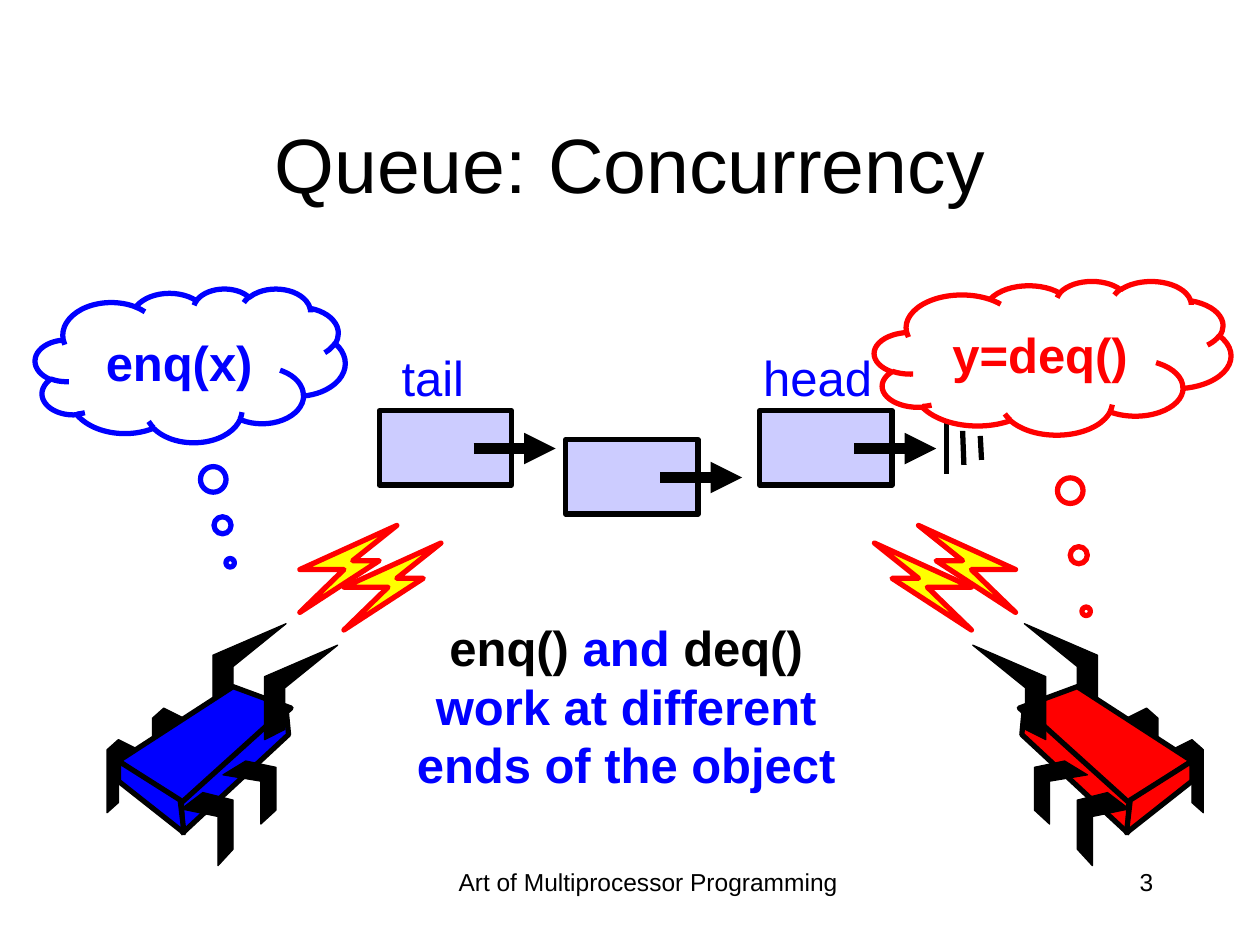
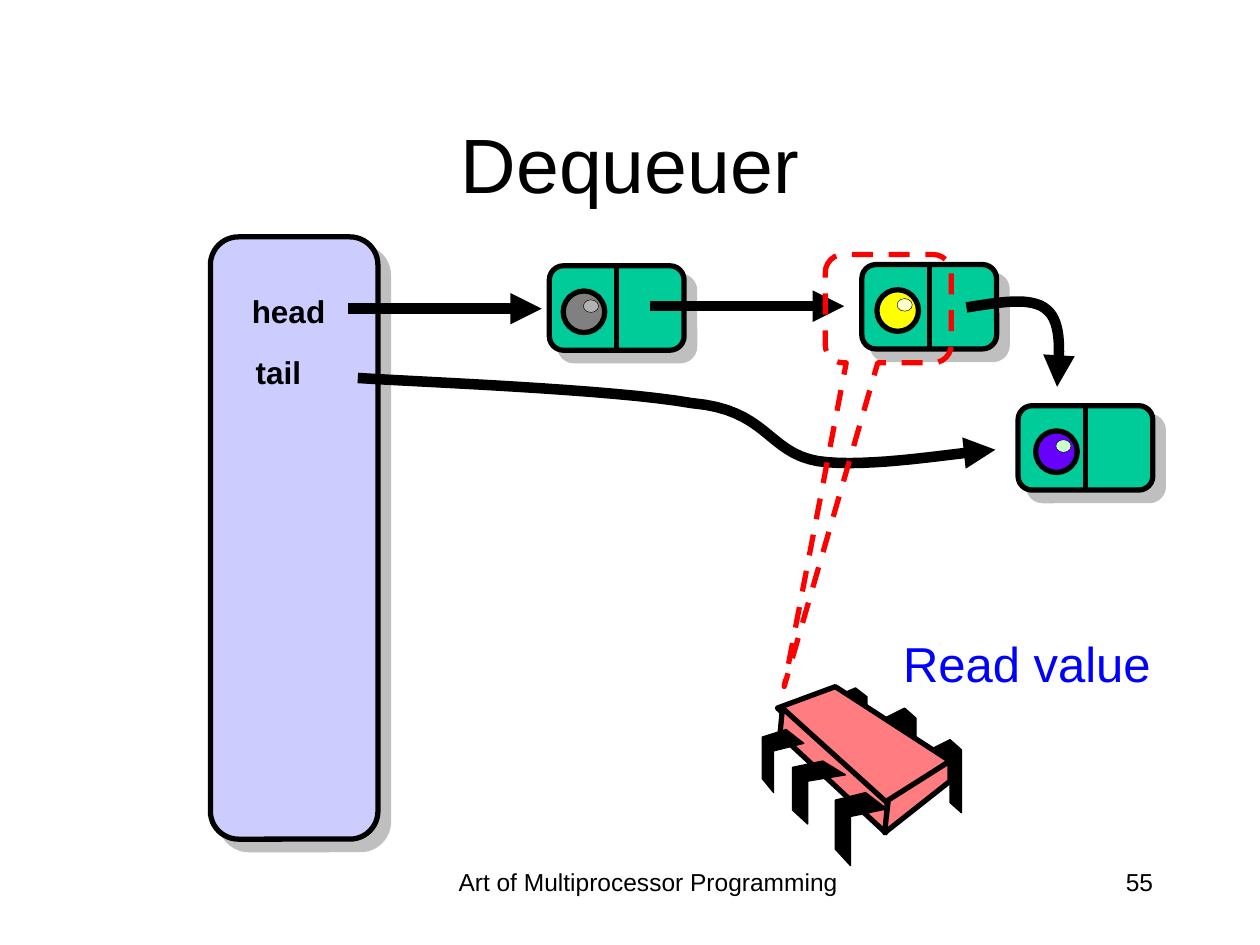
from dataclasses import dataclass

from lxml.etree import SubElement
from pptx import Presentation
from pptx.dml.color import RGBColor
from pptx.enum.dml import MSO_LINE
from pptx.enum.shapes import MSO_CONNECTOR, MSO_SHAPE
from pptx.enum.text import MSO_ANCHOR, MSO_AUTO_SIZE, PP_ALIGN
from pptx.oxml.ns import qn
from pptx.util import Inches, Pt

FONT = "Arial"
BLACK, BLUE, RED, YELLOW = "000000", "0000FF", "FF0000", "FFFF00"
LAVENDER, GREEN, PINK = "CCCCFF", "00CC99", "FF7C80"
OUTLINE, ARROW, HAIRLINE = 3, 6, 0.75

Point = tuple[float, float]
Points = list[Point]
Box = tuple[float, float, float, float]


def shift(points: Points, dx: float, dy: float) -> Points:
    return [(x + dx, y + dy) for x, y in points]


def mirror(points: Points, span: float) -> Points:
    """Flip left to right; span is the sum of an x and its mirrored x."""
    return [(span - x, y) for x, y in points]


# Outlines of the thread bug that looks to the upper right
FAR_ANTENNA = [(1.69, 5.7), (1.85, 5.62), (1.85, 5.29), (2.27, 4.95), (1.69, 5.2)]
NEAR_ANTENNA = shift(FAR_ANTENNA, 0.41, 0.17)
BACK_LEG = [(1.1, 5.95), (0.94, 5.87), (0.85, 5.95), (0.85, 6.45),
            (0.94, 6.37), (0.94, 6.04), (1.1, 6.12)]
FAR_LEGS = [BACK_LEG, shift(BACK_LEG, 0.36, -0.25)]
FAR_FRONT_LEG = [(1.85, 5.53), (1.69, 5.46), (1.6, 5.53), (1.6, 5.96),
                 (1.69, 5.88), (1.69, 5.6), (1.85, 5.67)]
BODY_FACES = [
    [(1.85, 5.45), (0.94, 6.04), (1.45, 6.38), (2.31, 5.62)],
    [(2.27, 5.62), (1.44, 6.37), (1.45, 6.61), (2.29, 5.83)],
    [(0.94, 6.04), (0.94, 6.2), (1.46, 6.61), (1.43, 6.35)],
]
NEAR_LEGS = [
    [(1.61, 6.29), (1.44, 6.42), (1.73, 6.48), (1.73, 6.87), (1.85, 6.74), (1.85, 6.35)],
    [(1.95, 6.04), (1.77, 6.15), (2.07, 6.2), (2.07, 6.54), (2.19, 6.43), (2.19, 6.09)],
]
NEAR_FRONT_LEG = [(2.24, 5.79), (2.1, 5.9), (2.34, 5.96), (2.34, 6.29),
                  (2.43, 6.18), (2.43, 5.85)]
BOLT = [(2.38, 4.86), (2.73, 4.52), (2.38, 4.52), (3.15, 4.17), (2.8, 4.45), (3.01, 4.45)]
BOLTS = [BOLT, shift(BOLT, 0.35, 0.14)]


@dataclass(frozen=True)
class Run:
    text: str
    color: str


@dataclass(frozen=True)
class Label:
    text: str
    box: Box
    size: int
    color: str = BLACK
    bold: bool = False
    wrap: bool = False


@dataclass(frozen=True)
class Thought:
    text: str
    box: Box
    tail: Point
    color: str


@dataclass(frozen=True)
class Node:
    left: float
    top: float
    item_inset: float
    item: str
    glint: str


def rgb(color: str) -> RGBColor:
    return RGBColor.from_string(color)


def inches(*lengths: float) -> list:
    return [Inches(length) for length in lengths]


def style_line(shape, color: str, width: float, arrow: bool = False) -> None:
    shape.line.width = Pt(width)
    shape.line.color.rgb = rgb(color)
    if arrow:
        line = shape.element.spPr.find(qn("a:ln"))
        SubElement(line, qn("a:tailEnd"), type="triangle")


def style_shape(shape, fill: str | None, color: str, width: float, arrow: bool = False) -> None:
    shape.shadow.inherit = False
    if fill:
        shape.fill.solid()
        shape.fill.fore_color.rgb = rgb(fill)
    else:
        shape.fill.background()
    style_line(shape, color, width, arrow)


def add_preset(slide, preset, box: Box, fill: str | None = None,
               color: str = BLACK, width: float = OUTLINE):
    shape = slide.shapes.add_shape(preset, *inches(*box))
    style_shape(shape, fill, color, width)
    return shape


def add_shadow(shape) -> None:
    effects = shape.element.spPr.find(qn("a:effectLst"))
    shadow = SubElement(effects, qn("a:outerShdw"), dist=str(Pt(8.5)),
                        dir="2700000", algn="ctr", rotWithShape="0")
    color = SubElement(shadow, qn("a:srgbClr"), val="808080")
    SubElement(color, qn("a:alpha"), val="50000")


def add_rounded(slide, box: Box, fill: str):
    shape = add_preset(slide, MSO_SHAPE.ROUNDED_RECTANGLE, box, fill)
    shape.adjustments[0] = 0.167
    add_shadow(shape)
    return shape


def add_outline(slide, points: Points, fill: str | None, color: str = BLACK,
                width: float = HAIRLINE, closed: bool = True, arrow: bool = False) -> None:
    start, *rest = [tuple(inches(*point)) for point in points]
    builder = slide.shapes.build_freeform(*start)
    builder.add_line_segments(rest, close=closed)
    style_shape(builder.convert_to_shape(), fill, color, width, arrow)


def add_curved_arrow(slide, controls: Points, steps: int = 16) -> None:
    """Draw joined cubic curves; each takes three more control points."""
    points = [controls[0]]
    for first in range(0, len(controls) - 1, 3):
        curve = controls[first:first + 4]
        for step in range(1, steps + 1):
            t = step / steps
            weights = ((1 - t) ** 3, 3 * t * (1 - t) ** 2, 3 * t ** 2 * (1 - t), t ** 3)
            points.append(tuple(sum(weight * point[axis] for weight, point in zip(weights, curve))
                                for axis in (0, 1)))
    add_outline(slide, points, None, width=ARROW, closed=False, arrow=True)


def add_line(slide, start: Point, end: Point, width: float = OUTLINE, arrow: bool = False):
    connector = slide.shapes.add_connector(MSO_CONNECTOR.STRAIGHT, *inches(*start, *end))
    style_line(connector, BLACK, width, arrow)
    SubElement(connector.element.spPr, qn("a:effectLst"))
    return connector


def write(paragraph, runs: list[Run], size: int, bold: bool = False,
          align: PP_ALIGN = PP_ALIGN.CENTER) -> None:
    paragraph.alignment = align
    for item in runs:
        run = paragraph.add_run()
        run.text = item.text
        run.font.name = FONT
        run.font.size = Pt(size)
        run.font.bold = bold
        run.font.color.rgb = rgb(item.color)


def add_text(slide, box: Box, runs: list[Run], size: int, bold: bool = False,
             wrap: bool = True, align: PP_ALIGN = PP_ALIGN.CENTER) -> None:
    frame = slide.shapes.add_textbox(*inches(*box)).text_frame
    frame.word_wrap = wrap
    if not wrap:
        frame.auto_size = MSO_AUTO_SIZE.SHAPE_TO_FIT_TEXT
        frame.margin_left = frame.margin_right = Inches(0)
    write(frame.paragraphs[0], runs, size, bold, align)


def add_label(slide, label: Label) -> None:
    add_text(slide, label.box, [Run(label.text, label.color)], label.size, label.bold, label.wrap)


def add_slide(presentation, title: str, number: int):
    """Add a slide with the shared title style, footer and page number."""
    slide = presentation.slides.add_slide(presentation.slide_layouts[5])
    shape = slide.shapes.title
    shape.left, shape.top, shape.width, shape.height = inches(0.75, 0.67, 8.5, 1.25)
    shape.text_frame.vertical_anchor = MSO_ANCHOR.MIDDLE
    write(shape.text_frame.paragraphs[0], [Run(title, BLACK)], 44)
    add_text(slide, (3.42, 6.83, 3.45, 0.5),
             [Run("Art of Multiprocessor Programming", BLACK)], 14)
    add_text(slide, (7.17, 6.83, 2.08, 0.5), [Run(str(number), BLACK)], 14, align=PP_ALIGN.RIGHT)
    return slide


def add_bug(slide, color: str, behind: list[Points], in_front: list[Points],
            span: float | None = None) -> None:
    """Draw limbs and body, flipped about span / 2 when a span is given."""
    parts = [(limb, BLACK, HAIRLINE) for limb in behind]
    parts += [(face, color, OUTLINE) for face in BODY_FACES]
    parts += [(limb, BLACK, HAIRLINE) for limb in in_front]
    for points, fill, width in parts:
        add_outline(slide, mirror(points, span) if span else points, fill, width=width)


def add_thought(slide, thought: Thought) -> None:
    cloud = add_preset(slide, MSO_SHAPE.CLOUD_CALLOUT, thought.box, color=thought.color)
    cloud.adjustments[0], cloud.adjustments[1] = thought.tail
    cloud.text_frame.vertical_anchor = MSO_ANCHOR.MIDDLE
    write(cloud.text_frame.paragraphs[0], [Run(thought.text, thought.color)], 28, bold=True)


def add_node(slide, node: Node) -> None:
    box = add_rounded(slide, (node.left, node.top, 1.07, 0.67), GREEN)
    middle = node.left + 0.535
    divider = add_line(slide, (middle, node.top), (middle, node.top + 0.67))
    divider.begin_connect(box, 0)
    divider.end_connect(box, 2)
    left, top = node.left + node.item_inset, node.top + 0.2
    add_preset(slide, MSO_SHAPE.OVAL, (left, top, 0.33, 0.33), node.item)
    add_preset(slide, MSO_SHAPE.OVAL, (left + 0.16, top + 0.07, 0.12, 0.1), node.glint, width=0.25)


def build_concurrency(presentation) -> None:
    slide = add_slide(presentation, "Queue: Concurrency", 3)
    limbs = [FAR_ANTENNA, *FAR_LEGS], [*NEAR_LEGS, NEAR_ANTENNA]
    add_bug(slide, BLUE, *limbs)
    add_bug(slide, RED, *limbs, span=10.4)

    for start, end in [((7.51, 3.36), (7.51, 3.76)), ((7.64, 3.42), (7.65, 3.69)),
                       ((7.78, 3.46), (7.79, 3.65))]:
        add_line(slide, start, end)
    for left, top in [(6.03, 3.26), (4.49, 3.49), (3.01, 3.26)]:
        add_preset(slide, MSO_SHAPE.RECTANGLE, (left, top, 1.05, 0.59), LAVENDER)
        add_line(slide, (left + 0.75, top + 0.3), (left + 1.4, top + 0.3), ARROW, arrow=True)

    for thought in [Thought("enq(x)", (0.28, 2.29, 2.46, 1.22), (0.129, 1.284), BLUE),
                    Thought("y=deq()", (6.94, 2.23, 2.83, 1.22), (0.094, 1.649), RED)]:
        add_thought(slide, thought)

    add_text(slide, (3.04, 4.85, 3.86, 1.5),
             [Run("enq()", BLACK), Run(" and ", BLUE), Run("deq()", BLACK),
              Run(" work at different ends of the object", BLUE)], 28, bold=True)
    for bolt in BOLTS + [mirror(bolt, 10.44) for bolt in BOLTS]:
        add_outline(slide, bolt, YELLOW, RED, OUTLINE)
    for label in [Label("tail", (3.09, 2.71, 0.69, 0.57), 28, BLUE),
                  Label("head", (5.96, 2.71, 1.06, 0.57), 28, BLUE)]:
        add_label(slide, label)


def build_dequeuer(presentation) -> None:
    slide = add_slide(presentation, "Dequeuer", 55)
    add_rounded(slide, (1.67, 1.88, 1.33, 4.78), LAVENDER)
    add_bug(slide, PINK, [*FAR_LEGS, FAR_FRONT_LEG], [*NEAR_LEGS, NEAR_FRONT_LEG], span=8.48)
    for label in [Label("head", (1.9, 2.27, 0.78, 0.4), 18, bold=True),
                  Label("tail", (1.93, 2.75, 0.56, 0.4), 18, bold=True),
                  Label("Read value", (6.3, 4.98, 3.7, 0.57), 28, BLUE, wrap=True)]:
        add_label(slide, label)

    for node in [Node(4.36, 2.11, 0.11, "808080", "B2B2B2"),
                 Node(6.84, 2.1, 0.12, YELLOW, "FFFFCC"),
                 Node(8.08, 3.22, 0.14, "6600FF", "CCFFCC")]:
        add_node(slide, node)

    for left, top in [(2.76, 2.45), (5.16, 2.43)]:
        add_line(slide, (left, top), (left + 1.54, top), ARROW, arrow=True)
    add_curved_arrow(slide, [(7.67, 2.44), (7.93, 2.4), (8.19, 2.35), (8.31, 2.46),
                             (8.43, 2.56), (8.41, 2.81), (8.39, 3.07)])
    add_curved_arrow(slide, [(2.84, 3), (3.28, 3.03), (4.88, 3.09), (5.49, 3.2),
                             (6.09, 3.25), (6.09, 3.59), (6.49, 3.66),
                             (6.89, 3.72), (7.61, 3.59), (7.9, 3.57)])

    gaze = add_preset(slide, MSO_SHAPE.ROUNDED_RECTANGULAR_CALLOUT, (6.55, 2.02, 1, 0.86), color=RED)
    gaze.line.dash_style = MSO_LINE.DASH
    for index, value in enumerate((-0.826, 3.488, 0.167)):
        gaze.adjustments[index] = value


def main() -> None:
    presentation = Presentation()
    presentation.slide_width, presentation.slide_height = inches(10, 7.5)
    build_concurrency(presentation)
    build_dequeuer(presentation)
    presentation.save("out.pptx")


if __name__ == "__main__":
    main()
